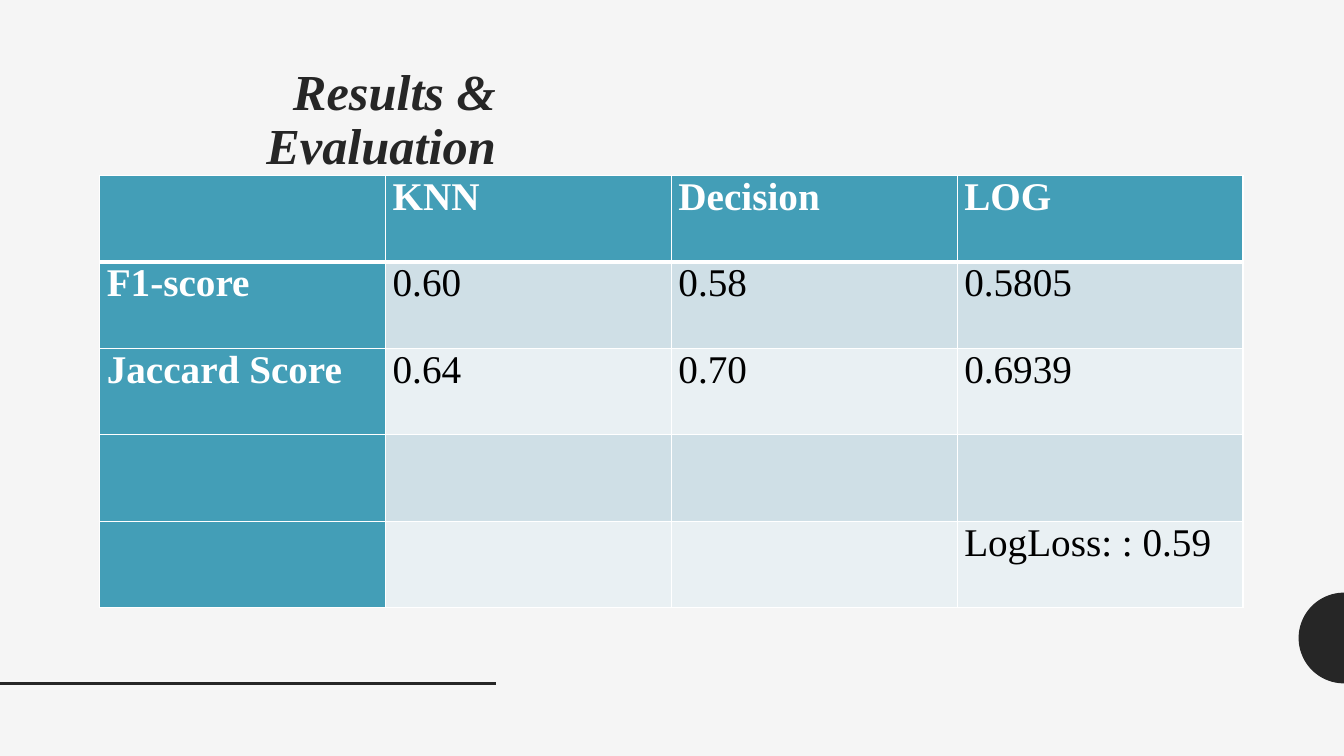
from dataclasses import dataclass
from math import cos, pi, sin

from lxml.etree import SubElement
from pptx import Presentation
from pptx.dml.color import RGBColor
from pptx.enum.shapes import MSO_CONNECTOR
from pptx.enum.text import MSO_ANCHOR, MSO_AUTO_SIZE, PP_ALIGN
from pptx.oxml.ns import qn
from pptx.slide import Slide
from pptx.table import _Cell
from pptx.text.text import TextFrame
from pptx.util import Inches, Pt


@dataclass(frozen=True)
class Theme:
    font: str = "Times New Roman"
    background: str = "F5F5F5"
    dark: str = "262626"
    accent: str = "439EB7"
    bands: tuple[str, str] = ("CFDFE6", "E9F0F3")
    white: str = "FFFFFF"
    black: str = "000000"
    title_size: int = 36
    cell_size: int = 28


@dataclass(frozen=True)
class Box:
    left: float
    top: float
    width: float
    height: float

    def emu(self) -> tuple[int, int, int, int]:
        return tuple(Inches(v) for v in (self.left, self.top, self.width, self.height))


@dataclass(frozen=True)
class Score:
    name: str = ""
    knn: str = ""
    decision: str = ""
    log: str = ""

    def cells(self) -> tuple[str, ...]:
        return self.name, self.knn, self.decision, self.log


THEME = Theme()
SLIDE_W, SLIDE_H = 13.33, 7.5
TITLE_BOX = Box(0.83, 0.61, 4.19, 5.42)
TABLE_BOX = Box(0.99, 1.74, 11.34, 4.29)
RULE_END, RULE_Y = 4.92, 6.78
DISC_RADIUS = 0.45
ROWS = [
    Score("", "KNN", "Decision", "LOG"),
    Score("F1-score", "0.60", "0.58", "0.5805"),
    Score("Jaccard Score", "0.64", "0.70", "0.6939"),
    Score(),
    Score(log="LogLoss: : 0.59"),
]


def rgb(color: str) -> RGBColor:
    return RGBColor.from_string(color)


def write(tf: TextFrame, text: str, *, size: int, color: str, bold: bool = False,
          italic: bool = False, align: PP_ALIGN = PP_ALIGN.LEFT,
          spacing: float = 1.0) -> None:
    p = tf.paragraphs[0]
    p.alignment, p.line_spacing = align, spacing
    r = p.add_run()
    r.text = text
    r.font.name, r.font.size = THEME.font, Pt(size)
    r.font.bold, r.font.italic = bold, italic
    r.font.color.rgb = rgb(color)


def add_title(slide: Slide) -> None:
    sp = slide.shapes.title
    sp.left, sp.top, sp.width, sp.height = TITLE_BOX.emu()
    tf = sp.text_frame
    tf.word_wrap, tf.auto_size = True, MSO_AUTO_SIZE.NONE
    tf.vertical_anchor = MSO_ANCHOR.TOP
    write(tf, "Results & Evaluation", size=THEME.title_size, color=THEME.dark,
          bold=True, italic=True, align=PP_ALIGN.RIGHT, spacing=0.9)


def add_half_disc(slide: Slide, steps: int = 48) -> None:
    """Half disc on the right slide edge, resting on the level of the rule."""
    center_y = RULE_Y - DISC_RADIUS
    angles = [pi / 2 + pi * i / steps for i in range(steps + 1)]
    points = [(Inches(SLIDE_W + DISC_RADIUS * cos(a)),
               Inches(center_y + DISC_RADIUS * sin(a))) for a in angles]
    builder = slide.shapes.build_freeform(*points[0])
    builder.add_line_segments(points[1:], close=True)
    sp = builder.convert_to_shape()
    sp.shadow.inherit = False
    sp.fill.solid()
    sp.fill.fore_color.rgb = rgb(THEME.dark)
    sp.line.fill.background()


def add_rule(slide: Slide) -> None:
    line = slide.shapes.add_connector(MSO_CONNECTOR.STRAIGHT, 0, Inches(RULE_Y),
                                      Inches(RULE_END), Inches(RULE_Y))
    line.line.color.rgb = rgb(THEME.dark)
    line.line.width = Pt(2)
    SubElement(line._element.spPr, qn("a:effectLst"))


def set_borders(cell: _Cell, top: int, bottom: int) -> None:
    """White borders; must precede the fill in the cell's XML."""
    tc_pr = cell._tc.get_or_add_tcPr()
    for side, width in (("L", 1), ("R", 1), ("T", top), ("B", bottom)):
        ln = SubElement(tc_pr, qn(f"a:ln{side}"), w=str(Pt(width)))
        fill = SubElement(ln, qn("a:solidFill"))
        SubElement(fill, qn("a:srgbClr"), val=THEME.white)


def add_scores(slide: Slide) -> None:
    columns = len(ROWS[0].cells())
    table = slide.shapes.add_table(len(ROWS), columns, *TABLE_BOX.emu()).table
    table.first_row = table.horz_banding = False
    for i, score in enumerate(ROWS):
        for j, text in enumerate(score.cells()):
            cell = table.cell(i, j)
            heading = i == 0 or j == 0
            set_borders(cell, top=3 if i == 1 else 1, bottom=3 if i == 0 else 1)
            cell.fill.solid()
            cell.fill.fore_color.rgb = rgb(
                THEME.accent if heading else THEME.bands[(i - 1) % 2])
            cell.margin_left = cell.margin_right = Inches(0.07)
            cell.margin_top = cell.margin_bottom = 0
            if text:
                write(cell.text_frame, text, size=THEME.cell_size, bold=heading,
                      color=THEME.white if heading else THEME.black)


def main() -> None:
    prs = Presentation()
    prs.slide_width, prs.slide_height = Inches(SLIDE_W), Inches(SLIDE_H)
    slide = prs.slides.add_slide(prs.slide_layouts[5])
    slide.background.fill.solid()
    slide.background.fill.fore_color.rgb = rgb(THEME.background)
    add_half_disc(slide)
    add_rule(slide)
    add_title(slide)
    add_scores(slide)
    prs.save("out.pptx")


if __name__ == "__main__":
    main()
